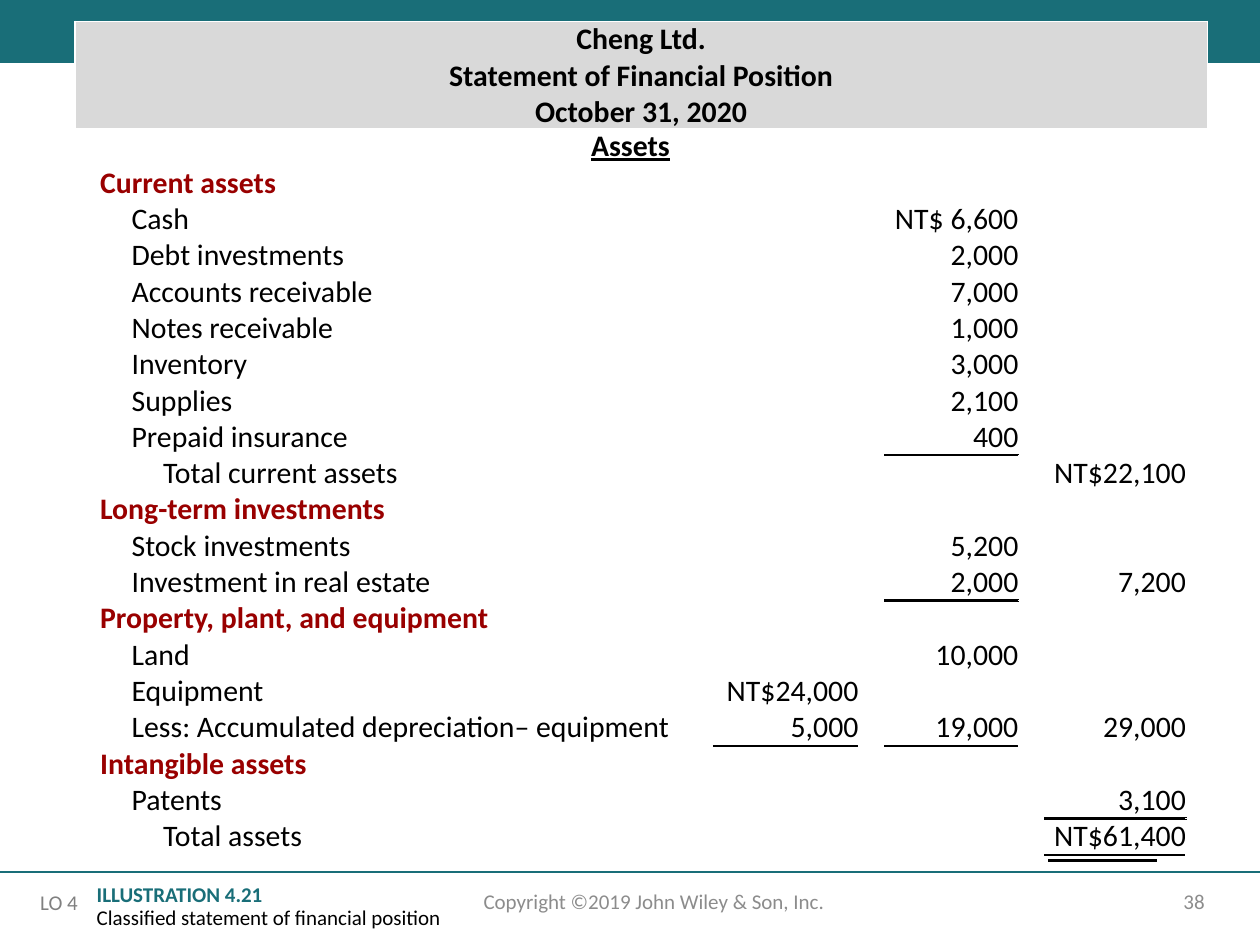
from lxml.etree import SubElement as Sub
from pptx import Presentation
from pptx.dml.color import RGBColor as RGB
from pptx.enum.shapes import MSO_CONNECTOR as Conn, MSO_SHAPE as Form
from pptx.enum.text import MSO_ANCHOR as Anchor, PP_ALIGN as Align
from pptx.oxml.ns import qn
from pptx.util import Pt

HUE = {"teal": "196E78", "red": "990000", "black": "000000", "white": "FFFFFF",
       "band": "D9D9D9", "gray": "8C8C8C", "dim": "808080"}
TITLE = ["Cheng Ltd.", "Statement of Financial Position", "October 31, 2020"]
ROWS = [
    (0, "Current assets", {}),
    (1, "Cash", {3: "NT$ 6,600"}),
    (1, "Debt investments", {3: "2,000"}),
    (1, "Accounts receivable", {3: "7,000"}),
    (1, "Notes receivable", {3: "1,000"}),
    (1, "Inventory", {3: "3,000"}),
    (1, "Supplies", {3: "2,100"}),
    (1, "Prepaid insurance", {3: "400"}),
    (2, "Total current assets", {5: "NT$22,100"}),
    (0, "Long-term investments", {}),
    (1, "Stock investments", {3: "5,200"}),
    (1, "Investment in real estate", {3: "2,000", 5: "7,200"}),
    (0, "Property, plant, and equipment", {}),
    (1, "Land", {3: "10,000"}),
    (1, "Equipment", {1: "NT$24,000"}),
    (1, "Less: Accumulated depreciation– equipment",
     {1: "5,000", 3: "19,000", 5: "29,000"}),
    (0, "Intangible assets", {}),
    (1, "Patents", {5: "3,100"}),
    (2, "Total assets", {5: "NT$61,400"}),
]
RULED = {("Prepaid insurance", 3), ("Investment in real estate", 3),
         ("Less: Accumulated depreciation– equipment", 1),
         ("Less: Accumulated depreciation– equipment", 3),
         ("Patents", 5), ("Total assets", 5)}
WIDTHS = [365, 82.8, 15.1, 76.3, 15.1, 80.7, 12.3]
HEAD, STEP, SIZE = 61.2, 20.75, 17


def style(para, size, hue, bold=False, line=False, align=Align.LEFT):
    para.alignment = align
    for run in para.runs:
        font = run.font
        font.name, font.size, font.bold = "Calibri", Pt(size), bold
        font.underline = line
        font.color.rgb = RGB.from_string(HUE[hue])


def rule(x1, x2, y, hue, width):
    line = slide.shapes.add_connector(Conn.STRAIGHT, Pt(x1), Pt(y), Pt(x2), Pt(y))
    line.line.color.rgb = RGB.from_string(HUE[hue])
    line.line.width = Pt(width)
    Sub(line._element.spPr, qn("a:effectLst"))


def block(x, y, wide, high, hue):
    box = slide.shapes.add_shape(Form.RECTANGLE, Pt(x), Pt(y), Pt(wide), Pt(high))
    box.shadow.inherit = False
    box.fill.solid()
    box.fill.fore_color.rgb = RGB.from_string(HUE[hue])
    box.line.fill.background()
    return box


def note(x, y, wide, high, text, hue, align, anchor, side=7.2):
    box = slide.shapes.add_textbox(Pt(x), Pt(y), Pt(wide), Pt(high))
    frame = box.text_frame
    frame.word_wrap, frame.vertical_anchor = True, anchor
    frame.margin_left = frame.margin_right = Pt(side)
    frame.text = text
    style(frame.paragraphs[0], 12, hue, align=align)
    return frame.paragraphs[0]


def edge(cell, top, low):
    props = cell._tc.get_or_add_tcPr()
    sides = [("L", False), ("R", False), ("T", top), ("B", low)]
    for spot, (side, dark) in enumerate(sides):
        line = Sub(props, qn("a:ln" + side), w=str(Pt(1.5 if dark else 1)))
        fill = Sub(line, qn("a:solidFill"))
        Sub(fill, qn("a:srgbClr"), val=HUE["black" if dark else "white"])
        props.insert(spot, line)


def fill_in(cell, text, hue="black", bold=False, line=False, align=Align.LEFT, level=0):
    cell.text = text
    for para in cell.text_frame.paragraphs:
        style(para, SIZE, hue, bold, line, align)
        if level:
            para._p.get_or_add_pPr().set("marL", str(Pt(18 * level)))


deck = Presentation()
deck.slide_width, deck.slide_height = Pt(720), Pt(540)
slide = deck.slides.add_slide(deck.slide_layouts[6])

block(0, 0, 720, 36, "teal")
rule(0, 720, 498.2, "teal", 1)
note(508.3, 500.4, 187.2, 28.8, "38", "gray", Align.RIGHT, Anchor.MIDDLE)
note(252, 500.4, 243.4, 28.8, "Copyright ©2019 John Wiley & Son, Inc.", "gray",
     Align.CENTER, Anchor.MIDDLE)
goal = note(18, 504.7, 38.2, 21.6, "LO 4", "dim", Align.LEFT, Anchor.TOP, 0)
goal._p.get_or_add_pPr().set("marL", str(Pt(5)))

label = block(48.2, 501.8, 221.8, 33.1, "white").text_frame
label.word_wrap, label.vertical_anchor = True, Anchor.TOP
label.text = "ILLUSTRATION 4.21\nClassified statement of financial position"
for para, hue in zip(label.paragraphs, ("teal", "black")):
    style(para, 12, hue, bold=hue == "teal")
    para.line_spacing = 0.9

count = len(ROWS) + 2
table = slide.shapes.add_table(count, len(WIDTHS), Pt(42.8), Pt(12.2), Pt(sum(WIDTHS)),
                               Pt(HEAD + STEP * (count - 1))).table
table.first_row = table.horz_banding = False
for col, wide in zip(table.columns, WIDTHS):
    col.width = Pt(wide)
for i, row in enumerate(table.rows):
    row.height = Pt(STEP if i else HEAD)

dark = {(r, c) for r, (_, name, _) in enumerate(ROWS, 2)
        for c in range(len(WIDTHS)) if (name, c) in RULED}
for r in range(count):
    for c in range(len(WIDTHS)):
        cell = table.cell(r, c)
        cell.margin_left = Pt(14.4 if c == 0 and r > 1 else 0)
        cell.margin_right = cell.margin_top = cell.margin_bottom = 0
        cell.vertical_anchor = Anchor.BOTTOM
        cell.fill.background()
        edge(cell, (r - 1, c) in dark, (r, c) in dark)
        Sub(cell.text_frame.paragraphs[0]._p, qn("a:endParaRPr"), sz=str(SIZE * 100))

top, sub = table.cell(0, 0), table.cell(1, 0)
top.merge(table.cell(0, 6))
sub.merge(table.cell(1, 5))
top.fill.solid()
top.fill.fore_color.rgb = RGB.from_string(HUE["band"])
fill_in(top, "\n".join(TITLE), bold=True, align=Align.CENTER)
fill_in(sub, "Assets", bold=True, line=True, align=Align.CENTER)
for r, (level, name, sums) in enumerate(ROWS, 2):
    fill_in(table.cell(r, 0), name, "black" if level else "red", not level, level=level)
    for c, text in sums.items():
        fill_in(table.cell(r, c), text, align=Align.RIGHT)

rule(599, 661, 491.8, "black", 1.5)
deck.save("out.pptx")
